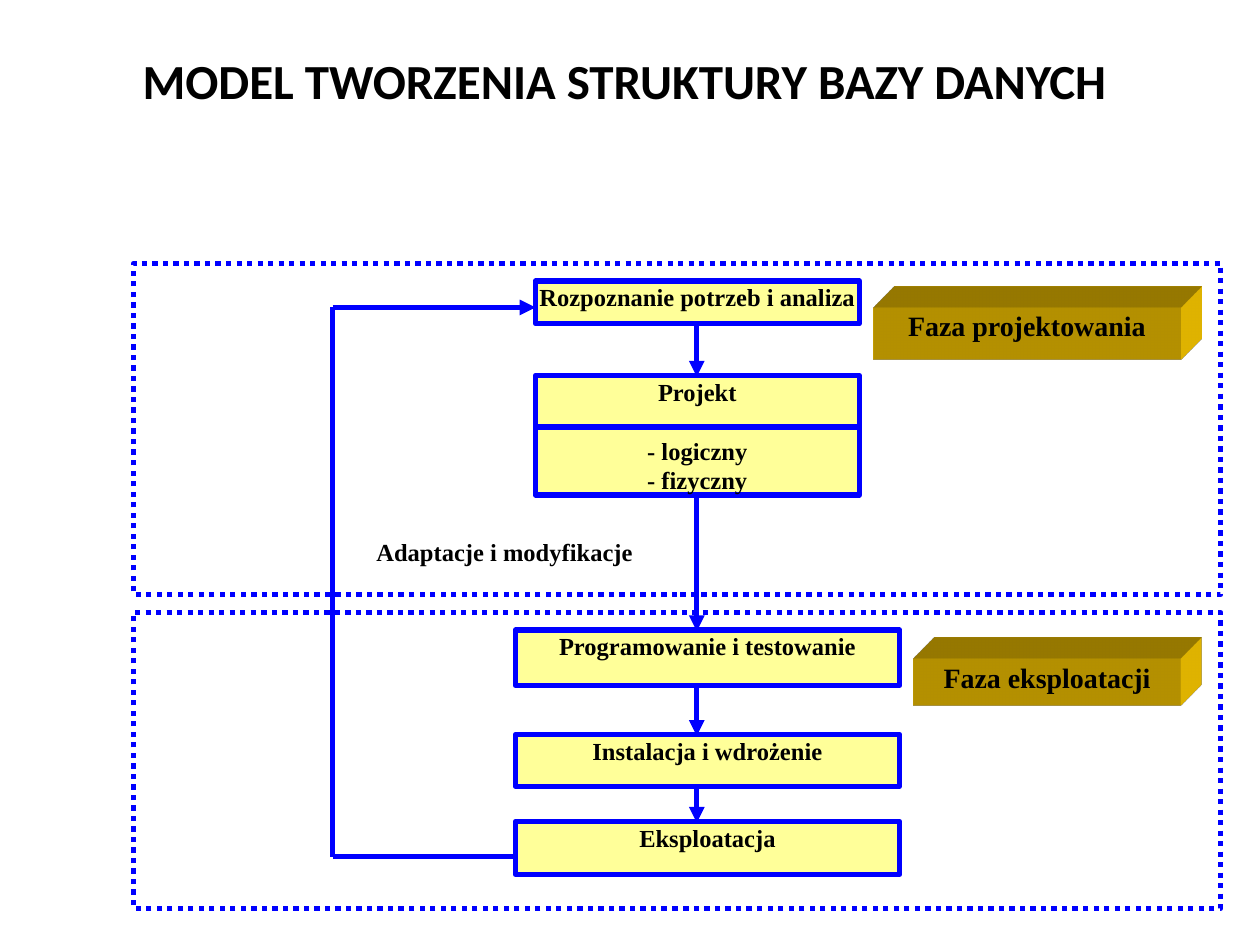
from dataclasses import dataclass

from lxml.etree import SubElement
from pptx import Presentation
from pptx.dml.color import RGBColor
from pptx.enum.dml import MSO_LINE
from pptx.enum.shapes import MSO_CONNECTOR, MSO_SHAPE
from pptx.enum.text import MSO_ANCHOR, PP_ALIGN
from pptx.oxml import parse_xml
from pptx.oxml.ns import nsdecls, qn
from pptx.util import Inches, Pt

BLUE = RGBColor(0x00, 0x00, 0xFF)
YELLOW = RGBColor(0xFF, 0xFF, 0x99)
GOLD = RGBColor(0xFF, 0xCC, 0x00)
WHITE = RGBColor(0xFF, 0xFF, 0xFF)
BLACK = RGBColor(0x00, 0x00, 0x00)
BODY_FONT = "Times New Roman"
FLOW_X = 5.53
LOOP_X = 2.64
LOOP_TOP, LOOP_BOTTOM = 2.44, 6.8


@dataclass
class Box:
    left: float
    top: float
    width: float
    height: float
    lines: tuple[str, ...] = ()
    fill: RGBColor | None = YELLOW
    outline: bool = True
    size: int = 14
    inset: float = 0.01
    dotted: bool = False
    raised: bool = False


@dataclass
class Link:
    start: tuple[float, float]
    end: tuple[float, float]
    arrow: bool = False


def add_text(paragraph, text: str, size: int, font: str) -> None:
    paragraph.alignment = PP_ALIGN.CENTER
    run = paragraph.add_run()
    run.text = text
    run.font.name = font
    run.font.size = Pt(size)
    run.font.bold = True
    run.font.color.rgb = BLACK


def add_extrusion(shape, color: RGBColor) -> None:
    """Give the shape an oblique depth towards the top right."""
    properties = shape._element.spPr
    properties.append(parse_xml(
        f'<a:scene3d {nsdecls("a")}><a:camera prst="legacyObliqueTopRight"/>'
        '<a:lightRig rig="legacyFlat3" dir="b"/></a:scene3d>'))
    properties.append(parse_xml(
        f'<a:sp3d {nsdecls("a")} extrusionH="430200" prstMaterial="legacyMatte">'
        '<a:bevelT w="13500" h="13500" prst="angle"/>'
        '<a:bevelB w="13500" h="13500" prst="angle"/>'
        f'<a:extrusionClr><a:srgbClr val="{color}"/></a:extrusionClr></a:sp3d>'))


def draw_box(slide, box: Box) -> None:
    shape = slide.shapes.add_shape(
        MSO_SHAPE.RECTANGLE, Inches(box.left), Inches(box.top),
        Inches(box.width), Inches(box.height))
    shape.shadow.inherit = False
    if box.fill is None:
        shape.fill.background()
    else:
        shape.fill.solid()
        shape.fill.fore_color.rgb = box.fill
    if box.outline:
        shape.line.color.rgb = BLUE
        shape.line.width = Pt(3)
        if box.dotted:
            shape.line.dash_style = MSO_LINE.ROUND_DOT
    else:
        shape.line.fill.background()
    if box.raised:
        add_extrusion(shape, box.fill)

    frame = shape.text_frame
    frame.word_wrap = True
    frame.vertical_anchor = MSO_ANCHOR.TOP
    frame.margin_left = frame.margin_right = Inches(box.inset)
    frame.margin_top = frame.margin_bottom = Inches(min(box.inset, 0.05))
    for index, line in enumerate(box.lines):
        paragraph = frame.add_paragraph() if index else frame.paragraphs[0]
        add_text(paragraph, line, box.size, BODY_FONT)
        if index == 1:  # gap between heading and its list
            paragraph.space_before = Pt(17)


def draw_link(slide, link: Link) -> None:
    connector = slide.shapes.add_connector(
        MSO_CONNECTOR.STRAIGHT, *map(Inches, link.start + link.end))
    connector.line.color.rgb = BLUE
    connector.line.width = Pt(3)
    if link.arrow:
        SubElement(connector.line._get_or_add_ln(), qn("a:tailEnd"), type="triangle")
    SubElement(connector._element.spPr, qn("a:effectLst"))


STAGES = [
    Box(4.25, 2.23, 2.57, 0.34, ("Rozpoznanie potrzeb i analiza",)),
    Box(4.25, 2.98, 2.57, 0.95, ("Projekt", "- logiczny", "- fizyczny")),
    Box(4.09, 5, 3.05, 0.44, ("Programowanie i testowanie",)),
    Box(4.09, 5.83, 3.05, 0.41, ("Instalacja i wdrożenie",)),
    Box(4.09, 6.52, 3.05, 0.42, ("Eksploatacja",)),
]
FLOW = [
    Link((FLOW_X, upper.top + upper.height), (FLOW_X, lower.top + 0.01), arrow=True)
    for upper, lower in zip(STAGES, STAGES[1:])
]
FEEDBACK = [
    Link((4.09, LOOP_BOTTOM), (LOOP_X, LOOP_BOTTOM)),
    Link((LOOP_X, LOOP_BOTTOM), (LOOP_X, LOOP_TOP)),
    Link((LOOP_X, LOOP_TOP), (4.25, LOOP_TOP), arrow=True),
]
PROJECT_DIVIDER = Link((4.25, 3.39), (6.82, 3.39))
PHASE_FRAMES = [
    Box(1.06, 2.09, 8.63, 2.63, fill=None, dotted=True),
    Box(1.06, 4.86, 8.63, 2.35, fill=None, dotted=True),
]
PHASE_LABELS = [
    Box(6.93, 2.44, 2.44, 0.41, ("Faza projektowania",), GOLD, False, 16, raised=True),
    Box(7.25, 5.23, 2.12, 0.37, ("Faza eksploatacji",), GOLD, False, 16, raised=True),
]
FEEDBACK_LABEL = Box(2.8, 4.21, 2.41, 0.41, ("Adaptacje i modyfikacje",),
                     WHITE, False, inset=0.1)


def main() -> None:
    presentation = Presentation()
    presentation.slide_width = Inches(10)
    presentation.slide_height = Inches(7.5)
    slide = presentation.slides.add_slide(presentation.slide_layouts[5])

    # Title
    title = slide.shapes.title
    title.left, title.top = Inches(0.2), Inches(0.28)
    title.width, title.height = Inches(9.51), Inches(0.71)
    title.text_frame.vertical_anchor = MSO_ANCHOR.MIDDLE
    add_text(title.text_frame.paragraphs[0],
             "MODEL TWORZENIA STRUKTURY BAZY DANYCH", 28, "Calibri")

    # Stages, then the arrows between and around them
    for stage in STAGES:
        draw_box(slide, stage)
    for link in FLOW + FEEDBACK + [PROJECT_DIVIDER]:
        draw_link(slide, link)

    # Phases and the feedback label
    for part in PHASE_FRAMES + PHASE_LABELS + [FEEDBACK_LABEL]:
        draw_box(slide, part)

    presentation.save("out.pptx")


if __name__ == "__main__":
    main()
